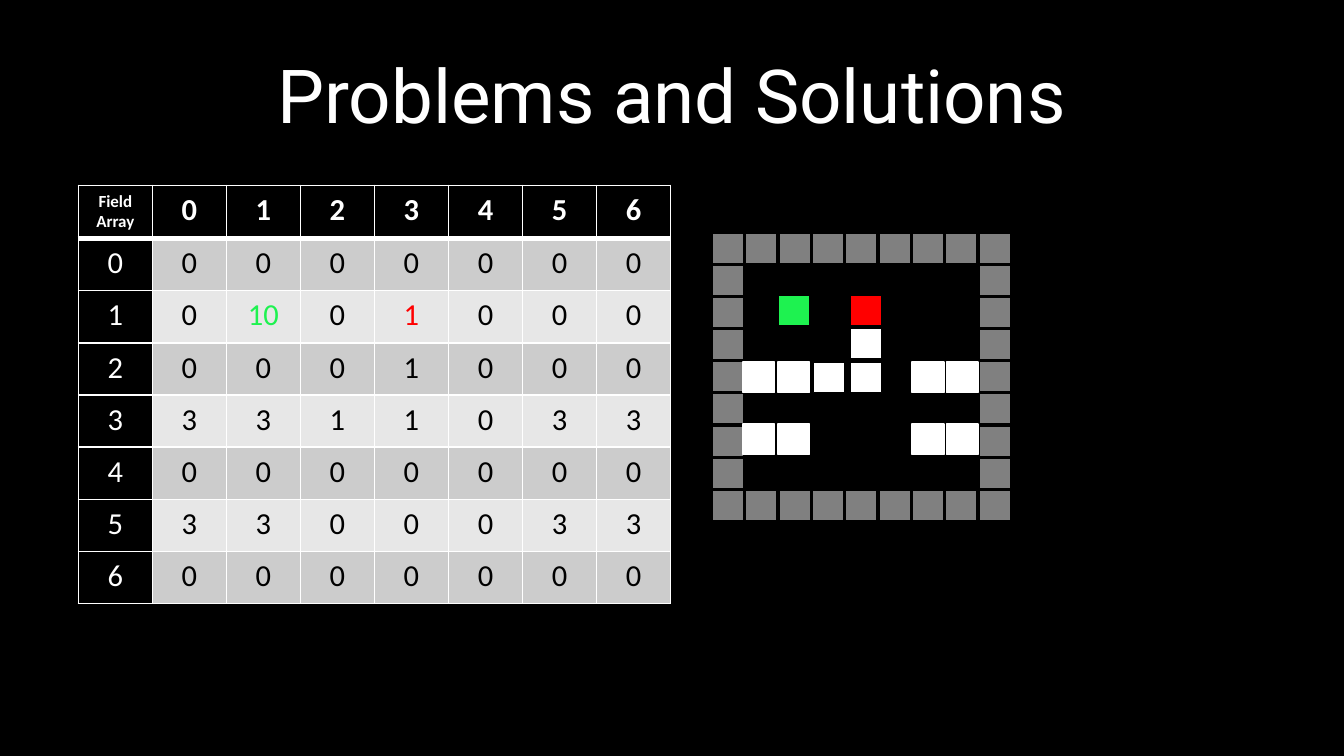
"""Build the slide comparing a field array with the game board it describes."""
from dataclasses import dataclass
from itertools import product

from lxml import etree
from pptx import Presentation
from pptx import util as u
from pptx.dml.color import RGBColor
from pptx.enum import shapes, text
from pptx.oxml.ns import qn

COLORS = {
    "black": "000000",
    "white": "FFFFFF",
    "frame": "808080",
    "food": "1EF250",
    "head": "FF0000",
    "dark_band": "CCCCCC",
    "light_band": "E7E7E7",
}
FIELD = [
    [0, 0, 0, 0, 0, 0, 0],
    [0, 10, 0, 1, 0, 0, 0],
    [0, 0, 0, 1, 0, 0, 0],
    [3, 3, 1, 1, 0, 3, 3],
    [0, 0, 0, 0, 0, 0, 0],
    [3, 3, 0, 0, 0, 3, 3],
    [0, 0, 0, 0, 0, 0, 0],
]
FOOD, WALL = 10, 3
HEAD = (1, 3)
FRAME_STEPS = 8
FRAME_LEFT, FRAME_WIDTH = 14.83, 5.56
FRAME_TOP, FRAME_HEIGHT = 4.85, 5.36
FIELD_LEFTS = {0: 15.47, 1: 16.2, 2: 16.94, 3: 17.7, 5: 19, 6: 19.71}
FIELD_TOPS = {1: 6.15, 2: 6.84, 3: 7.54, 5: 8.83}


@dataclass(frozen=True)
class Tile:
    """A square of the board, placed in centimetres."""

    left: float
    top: float
    fill: str
    line: str = "black"


@dataclass(frozen=True)
class Entry:
    """The content and look of one table cell."""

    lines: tuple[str, ...]
    fill: str
    color: str = "white"
    size: int = 18
    bold: bool = False


def rgb(name: str) -> RGBColor:
    """Return the named colour."""
    return RGBColor.from_string(COLORS[name])


def field_color(row: int, column: int, empty: str) -> str:
    """Return the colour that marks a field position."""
    if (row, column) == HEAD:
        return "head"
    return "food" if FIELD[row][column] == FOOD else empty


def board_tiles() -> list[Tile]:
    """Return the frame tiles followed by the occupied field tiles."""
    steps = range(FRAME_STEPS + 1)
    tiles = [
        Tile(FRAME_LEFT + column * FRAME_WIDTH / FRAME_STEPS,
             FRAME_TOP + row * FRAME_HEIGHT / FRAME_STEPS, "frame")
        for row, column in product(steps, steps)
        if {row, column} & {0, FRAME_STEPS}
    ]
    for (row, top), (column, left) in product(FIELD_TOPS.items(), FIELD_LEFTS.items()):
        value = FIELD[row][column]
        if value:
            line = "white" if value == WALL else "black"
            tiles.append(Tile(left, top, field_color(row, column, "white"), line))
    return tiles


def draw_tile(slide, tile: Tile) -> None:
    """Draw one board tile."""
    square = slide.shapes.add_shape(
        shapes.MSO_SHAPE.RECTANGLE,
        u.Cm(tile.left), u.Cm(tile.top), u.Cm(0.66), u.Cm(0.64))
    square.shadow.inherit = False
    square.fill.solid()
    square.fill.fore_color.rgb = rgb(tile.fill)
    square.line.color.rgb = rgb(tile.line)
    square.line.width = u.Pt(1)


def add_border(cell, side: str, points: int) -> None:
    """Add a white border to one side of a cell."""
    border = etree.SubElement(cell._tc.get_or_add_tcPr(), qn(f"a:ln{side}"), w=str(u.Pt(points)))
    paint = etree.SubElement(border, qn("a:solidFill"))
    etree.SubElement(paint, qn("a:srgbClr"), val=COLORS["white"])


def table_entries() -> list[list[Entry]]:
    """Return the header row and the numbered field rows."""
    header = [Entry(("Field", "Array"), "black", size=10, bold=True)]
    header += [Entry((str(column),), "black", bold=True) for column in range(len(FIELD[0]))]
    rows = [header]
    for row, values in enumerate(FIELD):
        band = "light_band" if row % 2 else "dark_band"
        rows.append([Entry((str(row),), "black")] + [
            Entry((str(value),), band, field_color(row, column, "black"))
            for column, value in enumerate(values)])
    return rows


def fill_cell(cell, entry: Entry, top: int, bottom: int) -> None:
    """Write one table cell with its borders and fill."""
    for side, points in (("L", 1), ("R", 1), ("T", top), ("B", bottom)):
        add_border(cell, side, points)
    cell.fill.solid()
    cell.fill.fore_color.rgb = rgb(entry.fill)
    for index, line in enumerate(entry.lines):
        frame = cell.text_frame
        paragraph = frame.add_paragraph() if index else frame.paragraphs[0]
        paragraph.alignment = text.PP_ALIGN.CENTER
        run = paragraph.add_run()
        run.text = line
        run.font.name = "Calibri"
        run.font.size = u.Pt(entry.size)
        run.font.bold = entry.bold
        run.font.color.rgb = rgb(entry.color)


def draw_table(slide) -> None:
    """Draw the field array as a table."""
    entries = table_entries()
    table = slide.shapes.add_table(
        len(entries), len(entries[0]),
        u.Cm(1.63), u.Cm(3.86), u.Cm(12.34), u.Cm(8.69)).table
    table.horz_banding = False
    for row, column in product(range(len(entries)), range(len(entries[0]))):
        fill_cell(table.cell(row, column), entries[row][column],
                  3 if row == 1 else 1, 3 if row == 0 else 1)


def write_title(slide) -> None:
    """Place and write the slide title."""
    heading = slide.shapes.title
    heading.left, heading.top = u.Cm(1.4), u.Cm(0.64)
    heading.width, heading.height = u.Cm(25.2), u.Cm(2.64)
    frame = heading.text_frame
    frame.auto_size = text.MSO_AUTO_SIZE.NONE
    frame.vertical_anchor = text.MSO_ANCHOR.MIDDLE
    frame.margin_left = frame.margin_right = frame.margin_top = frame.margin_bottom = 0
    frame.paragraphs[0].alignment = text.PP_ALIGN.CENTER
    run = frame.paragraphs[0].add_run()
    run.text = "Problems and Solutions"
    run.font.name = "Roboto"
    run.font.size = u.Pt(44)
    run.font.color.rgb = rgb("white")


def main() -> None:
    """Build and save the presentation."""
    deck = Presentation()
    deck.slide_width, deck.slide_height = u.Cm(27.99), u.Cm(15.75)
    slide = deck.slides.add_slide(deck.slide_layouts.get_by_name("Title Only"))
    slide.background.fill.solid()
    slide.background.fill.fore_color.rgb = rgb("black")
    write_title(slide)
    for tile in board_tiles():
        draw_tile(slide, tile)
    draw_table(slide)
    deck.save("out.pptx")


if __name__ == "__main__":
    main()
